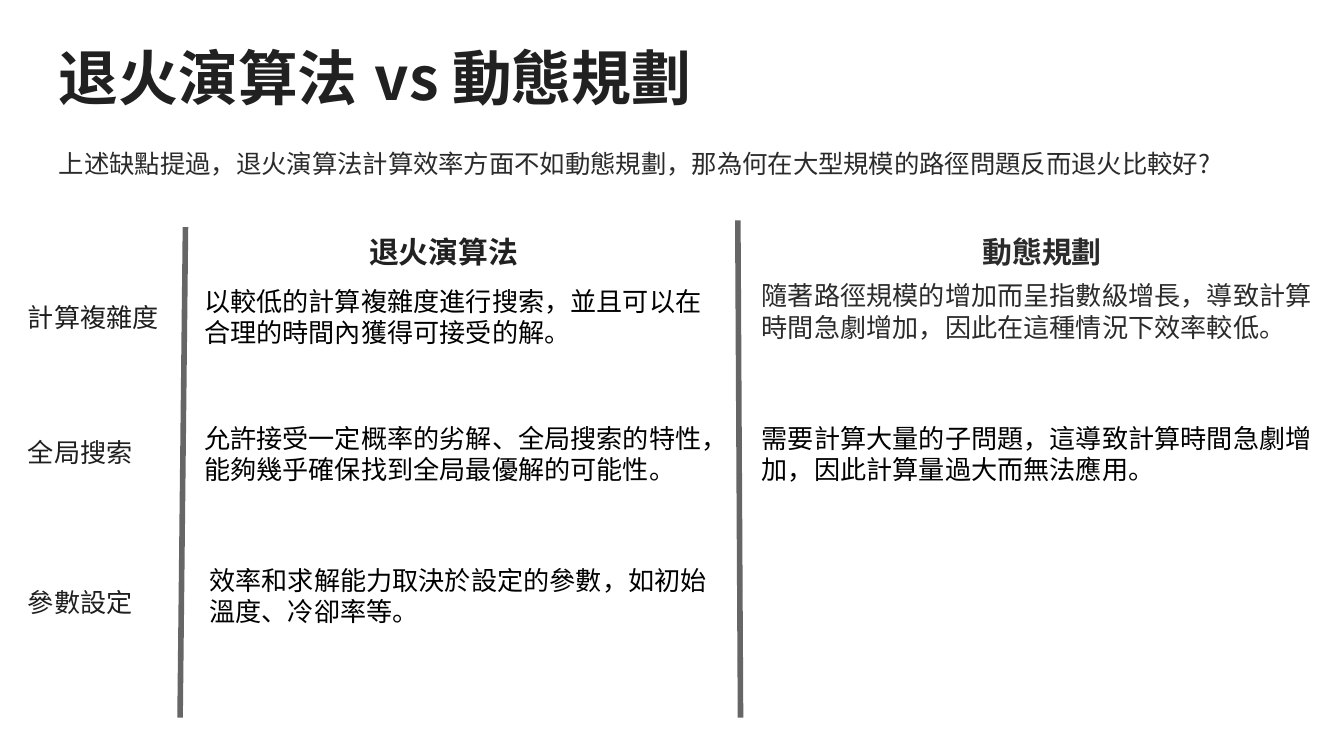
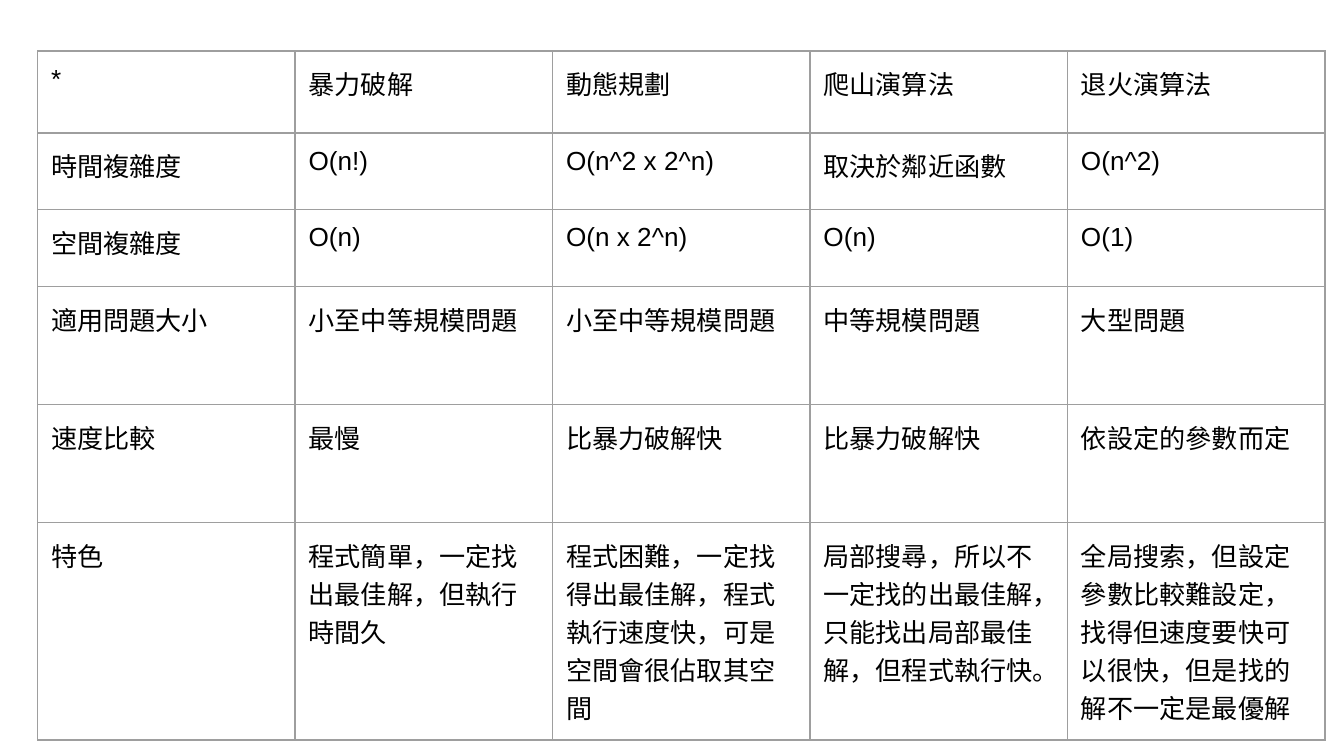
from pptx import Presentation
from pptx.dml.color import RGBColor
from pptx.enum.shapes import MSO_CONNECTOR
from pptx.enum.text import MSO_ANCHOR, PP_ALIGN
from pptx.oxml.ns import qn
from pptx.util import Inches, Pt
from lxml import etree

BLACK = RGBColor(0x00, 0x00, 0x00)
INK = RGBColor(0x21, 0x21, 0x21)
SOFT = RGBColor(0x2B, 0x2B, 0x2B)
LABEL = RGBColor(0x1F, 0x1F, 0x1F)
RULE = RGBColor(0x66, 0x66, 0x66)
GRID = RGBColor(0x9E, 0x9E, 0x9E)
ARIAL, SANS, MONO, ROBOTO = "Arial", "Noto Sans CJK TC", "Noto Sans Mono", "Roboto"
LEFT, CENTER = PP_ALIGN.LEFT, PP_ALIGN.CENTER
TOP, STRAIGHT = MSO_ANCHOR.TOP, MSO_CONNECTOR.STRAIGHT
PAD = Inches(0.1)

# Content of the comparison slide
TITLE = [("退火演算法 ", ARIAL), ("vs 動態規劃", SANS)]
LEAD = "上述缺點提過，退火演算法計算效率方面不如動態規劃，那為何在大型規模的路徑問題反而退火比較好?"
HEADS = [  # text, left, width, colour
    ("退火演算法", 1.38, 3.84, INK),
    ("動態規劃", 5.64, 4.23, SOFT),
]
LABELS = [("計算複雜度", 2.14), ("全局搜索", 3.15), ("參數設定", 4.26)]
NOTES = [  # text, box, font, colour
    ("以較低的計算複雜度進行搜索，並且可以在合理的時間內獲得可接受的解。",
     (1.42, 2.02, 3.93, 0.8), ROBOTO, BLACK),
    ("隨著路徑規模的增加而呈指數級增長，導致計算時間急劇增加，因此在這種情況下效率較低。",
     (5.57, 1.98, 4.33, 0.88), MONO, SOFT),
    ("允許接受一定概率的劣解、全局搜索的特性，能夠幾乎確保找到全局最優解的可能性。",
     (1.42, 3.04, 3.93, 0.74), ROBOTO, BLACK),
    ("需要計算大量的子問題，這導致計算時間急劇增加，因此計算量過大而無法應用。",
     (5.57, 3.04, 4.33, 0.63), ROBOTO, BLACK),
    ("效率和求解能力取決於設定的參數，如初始溫度、冷卻率等。",
     (1.46, 4.1, 3.93, 0.74), ROBOTO, BLACK),
]
RULES = [(5.49, 1.64, 5.51, 5.34), (1.38, 1.69, 1.34, 5.34)]

# Content of the table slide: row height, cells
ROWS = [
    (0.61, ["*", "暴力破解", "動態規劃", "爬山演算法", "退火演算法"]),
    (0.57, ["時間複雜度", "O(n!)", "O(n^2 x 2^n)", "取決於鄰近函數", "O(n^2)"]),
    (0.57, ["空間複雜度", "O(n)", "O(n x 2^n)", "O(n)", "O(1)"]),
    (0.88, ["適用問題大小", "小至中等規模問題", "小至中等規模問題",
            "中等規模問題", "大型問題"]),
    (0.88, ["速度比較", "最慢", "比暴力破解快", "比暴力破解快", "依設定的參數而定"]),
    (0.88, ["特色",
            "程式簡單，一定找出最佳解，但執行時間久",
            "程式困難，一定找得出最佳解，程式執行速度快，可是空間會很佔取其空間",
            "局部搜尋，所以不一定找的出最佳解，只能找出局部最佳解，但程式執行快。",
            "全局搜索，但設定參數比較難設定，找得但速度要快可以很快，但是找的解不一定是最優解"]),
]
COL = 1.916


def add_run(para, text, size, font, color, bold=False, east=True):
    run = para.add_run()
    run.text = text
    run.font.size = Pt(size)
    run.font.name = font
    run.font.bold = bold
    run.font.color.rgb = color
    if east:  # same face for the Chinese characters
        latin = run.font._element.find(qn("a:latin"))
        face = etree.Element(qn("a:ea"), typeface=font)
        latin.addnext(face)


def add_text(slide, box, runs, size, color, bold=False, align=LEFT):
    frame = slide.shapes.add_textbox(*map(Inches, box)).text_frame
    frame.word_wrap = True
    frame.vertical_anchor = TOP
    frame.margin_left = frame.margin_right = PAD
    frame.margin_top = frame.margin_bottom = PAD
    para = frame.paragraphs[0]
    para.alignment = align
    for text, font in runs:
        add_run(para, text, size, font, color, bold)
    return para


def add_rule(slide, ends):
    line = slide.shapes.add_connector(STRAIGHT, *map(Inches, ends))
    line.line.color.rgb = RULE
    line.line.width = Pt(3)
    etree.SubElement(line._element.spPr, qn("a:effectLst"))


def add_edges(cell):
    props = cell._tc.get_or_add_tcPr()
    for side in ("lnL", "lnR", "lnT", "lnB"):
        edge = etree.SubElement(props, qn("a:" + side), w=str(Pt(0.75)))
        fill = etree.SubElement(edge, qn("a:solidFill"))
        etree.SubElement(fill, qn("a:srgbClr"), val=str(GRID))


def add_versus(slide):
    add_text(slide, (0.34, 0.2, 9.32, 0.88), TITLE, 32, INK, True)
    lead = add_text(slide, (0.34, 0.99, 9.32, 0.8), [(LEAD, SANS)], 13.6, SOFT)
    lead.line_spacing = 1.05
    lead.space_after = Pt(12)
    for ends in RULES:
        add_rule(slide, ends)
    for text, left, width, color in HEADS:
        add_text(slide, (left, 1.64, width, 0.5), [(text, MONO)],
                 16, color, True, CENTER)
    for text, top in LABELS:
        add_text(slide, (0.11, top, 1.2, 0.42), [(text, ROBOTO)], 14, LABEL)
    for text, box, font, color in NOTES:
        add_text(slide, box, [(text, font)], 14, color)


def add_grid(slide):
    count = len(ROWS[0][1])
    tall = sum(height for height, _ in ROWS)
    box = map(Inches, (0.28, 0.38, COL * count, tall))
    table = slide.shapes.add_table(len(ROWS), count, *box).table
    table.first_row = table.horz_banding = False
    for col in table.columns:
        col.width = Inches(COL)
    for row, (height, texts) in zip(table.rows, ROWS):
        row.height = Inches(height)
        for cell, text in zip(row.cells, texts):
            cell.margin_left = cell.margin_right = PAD
            cell.margin_top = cell.margin_bottom = PAD
            add_edges(cell)
            cell.fill.background()
            add_run(cell.text_frame.paragraphs[0], text, 14, ARIAL, BLACK,
                    east=False)


def main():
    deck = Presentation()
    deck.slide_width = Inches(10)
    deck.slide_height = Inches(5.625)
    blank = deck.slide_layouts[6]
    for build in (add_versus, add_grid):
        build(deck.slides.add_slide(blank))
    deck.save("out.pptx")


if __name__ == "__main__":
    main()
